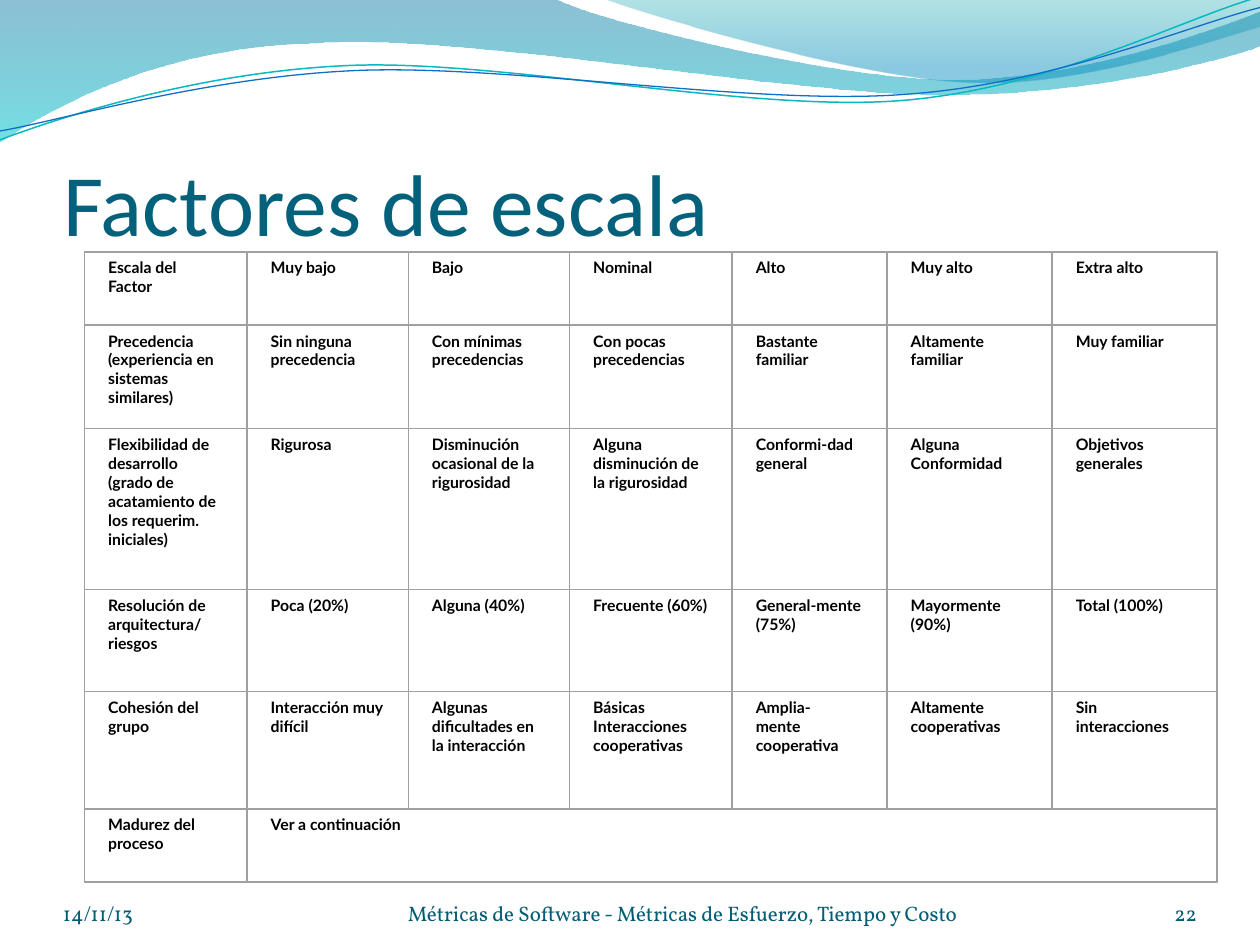
import math

import pptx
import pptx.util
import pptx.dml.color
import pptx.enum.shapes
import pptx.enum.text
import pptx.oxml.ns
from lxml import etree

Inches, Pt = pptx.util.Inches, pptx.util.Pt
RGBColor = pptx.dml.color.RGBColor
ALIGN, ANCHOR = pptx.enum.text.PP_ALIGN, pptx.enum.text.MSO_ANCHOR
RECTANGLE = pptx.enum.shapes.MSO_SHAPE.RECTANGLE
qn = pptx.oxml.ns.qn

# Colours
TITLE = RGBColor(0x04, 0x61, 0x7B)
FOOTER = RGBColor(0x04, 0x5D, 0x75)
BLACK = RGBColor(0, 0, 0)
BORDER = RGBColor(0xA0, 0xA0, 0xA0)
TEAL_LINE = RGBColor(0x0A, 0xB8, 0xBF)
BLUE_LINE = RGBColor(0x0F, 0x6F, 0xC6)

# Content
HEADING = "Factores de escala"
ROWS = [
    ["Escala del Factor", "Muy bajo", "Bajo", "Nominal", "Alto", "Muy alto", "Extra alto"],
    ["Precedencia (experiencia en sistemas similares)", "Sin ninguna precedencia",
     "Con mínimas precedencias", "Con pocas precedencias", "Bastante familiar",
     "Altamente familiar", "Muy familiar"],
    ["Flexibilidad de desarrollo (grado de acatamiento de los requerim. iniciales)",
     "Rigurosa", "Disminución ocasional de la rigurosidad",
     "Alguna disminución de la rigurosidad", "Conformi-dad general",
     "Alguna Conformidad", "Objetivos generales"],
    ["Resolución de arquitectura/\nriesgos", "Poca (20%)", "Alguna (40%)",
     "Frecuente (60%)", "General-mente (75%)", "Mayormente (90%)", "Total (100%)"],
    ["Cohesión del grupo", "Interacción muy difícil",
     "Algunas dificultades en la interacción", "Básicas\nInteracciones cooperativas",
     "Amplia-\nmente cooperativa", "Altamente\ncooperativas", "Sin interacciones"],
    ["Madurez del proceso", "Ver a continuación"],
]
COL_EDGES = [0.67, 1.96, 3.24, 4.52, 5.81, 7.04, 8.35, 9.66]
ROW_EDGES = [2, 2.58, 3.4, 4.68, 5.49, 6.42, 7]
CELL_PAD = 0.09
FOOTERS = [  # text, left, width, alignment
    ("14/11/13", 0.5, 2.33, ALIGN.LEFT),
    ("Métricas de Software - Métricas de Esfuerzo, Tiempo y Costo", 2.92, 5, ALIGN.CENTER),
    ("22", 8.67, 0.83, ALIGN.RIGHT),
]

# Waves: a 2-tuple is a straight step, a 6-tuple is a Bézier step
BANDS = [  # steps, gradient stops (position, colour, opacity %)
    ([(0, 0), (4.4, -0.01), (4.76, 0.17, 6.64, 0.63, 7.58, 0.63),
      (8.53, 0.63, 9.58, 0.26, 10, 0.09), (10.01, 0.36),
      (9.83, 0.44, 8.7, 0.76, 7.46, 0.75), (6.22, 0.75, 3.82, 0.28, 2.57, 0.34),
      (1.29, 0.36, 0.46, 0.83, -0.01, 1.13)],
     [(0, RGBColor(0x00, 0x74, 0xA1), 45), (1, RGBColor(0x00, 0xC6, 0xCF), 55)]),
    ([(4.79, -0.01), (5.09, 0.11, 6.82, 0.62, 7.69, 0.65),
      (8.56, 0.69, 9.61, 0.32, 10, 0.21), (10, 0)],
     [(0, RGBColor(0x00, 0xA1, 0xA9), 30), (0.8, RGBColor(0x00, 0x8B, 0xBF), 45)]),
]
TILT = 357.3
CURVES = [  # steps, centre of rotation, colour, width
    ([(0, 1.11), (0.48, 0.93, 1.58, 0.57, 2.77, 0.52),
      (3.95, 0.47, 5.93, 0.89, 7.13, 0.8), (8.33, 0.71, 9.38, 0.15, 9.98, -0.02)],
     (4.99, 0.57), TEAL_LINE, 0.85),
    ([(0, 1.04), (0.47, 0.96, 1.64, 0.61, 2.83, 0.56),
      (4.03, 0.51, 5.97, 0.84, 7.17, 0.75), (8.36, 0.67, 9.41, 0.21, 10, 0.06)],
     (5, 0.59), BLUE_LINE, 0.75),
]


def pairs(step):
    return list(zip(step[::2], step[1::2]))


def untilt(step, centre):
    """Turn a step's points back by TILT, so that the shape's rotation restores them."""
    cx, cy = centre
    cos, sin = math.cos(math.radians(-TILT)), math.sin(math.radians(-TILT))
    out = []
    for x, y in pairs(step):
        dx, dy = x - cx, y - cy
        out += [cx + dx * cos - dy * sin, cy + dx * sin + dy * cos]
    return tuple(out)


def add_wave(shapes, steps, close):
    ends = [(Inches(step[-2]), Inches(step[-1])) for step in steps]
    builder = shapes.build_freeform(*ends[0], scale=1.0)
    builder.add_line_segments(ends[1:], close=close)
    sp = builder.convert_to_shape()
    sp.shadow.inherit = False
    # Bend the segments that have control points
    for seg, step in zip(list(sp.element.iter(qn("a:lnTo"))), steps[1:]):
        if len(step) == 6:
            curve = etree.Element(qn("a:cubicBezTo"))
            for x, y in pairs(step):
                etree.SubElement(curve, qn("a:pt"), x=str(Inches(x) - sp.left),
                                 y=str(Inches(y) - sp.top))
            seg.getparent().replace(seg, curve)
    return sp


def set_font(p, name, size, color, bold=False):
    p.font.name, p.font.size, p.font.bold = name, Pt(size), bold
    p.font.color.rgb = color


def set_insets(tf, top=0):
    tf.margin_left = tf.margin_right = tf.margin_bottom = 0
    tf.margin_top = Inches(top)
    tf.vertical_anchor = ANCHOR.BOTTOM
    tf.word_wrap = True


def add_text(shapes, text, left, top, width, height):
    tf = shapes.add_textbox(*map(Inches, (left, top, width, height))).text_frame
    tf.word_wrap = True
    tf.text = text
    return tf


def add_frame(shapes, left, top, width, height, line_width):
    sp = shapes.add_shape(RECTANGLE, *map(Inches, (left, top, width, height)))
    sp.shadow.inherit = False
    sp.fill.background()
    sp.line.color.rgb, sp.line.width = BORDER, Pt(line_width)


prs = pptx.Presentation()
prs.slide_width, prs.slide_height = Inches(10), Inches(7.5)
s = prs.slides.add_slide(prs.slide_layouts[5])

# Wave decoration
for steps, stops in BANDS:
    sp = add_wave(s.shapes, steps, close=True)
    sp.line.fill.background()
    sp.fill.gradient()
    sp.fill.gradient_angle = 270
    for stop, (pos, color, _) in zip(sp.fill.gradient_stops, stops):
        stop.position, stop.color.rgb = pos, color
    for clr, (_, _, opacity) in zip(sp.element.spPr.iter(qn("a:srgbClr")), stops):
        etree.SubElement(clr, qn("a:alpha"), val=str(opacity * 1000))
curves = s.shapes.add_group_shape().shapes
for steps, centre, color, width in CURVES:
    sp = add_wave(curves, [untilt(step, centre) for step in steps], close=False)
    sp.rotation = TILT
    sp.fill.background()
    sp.line.color.rgb, sp.line.width = color, Pt(width)

# Title, in front of the waves
title = s.shapes.title
title.element.getparent().append(title.element)
title.left, title.top, title.width, title.height = map(Inches, (0.5, 0.77, 9, 1.25))
tf = title.text_frame
tf.text = HEADING
set_insets(tf, top=0.05)
tf.auto_size = pptx.enum.text.MSO_AUTO_SIZE.NONE
tf.paragraphs[0].alignment = ALIGN.LEFT
set_font(tf.paragraphs[0], "Calibri", 50, TITLE)

# Grid of scale factors: the last cell of a short row reaches the right edge
grid = s.shapes.add_group_shape().shapes
for row, top, bottom in zip(ROWS, ROW_EDGES, ROW_EDGES[1:]):
    rights = COL_EDGES[1:len(row)] + COL_EDGES[-1:]
    for text, left, right in zip(row, COL_EDGES, rights):
        width, height = right - left, bottom - top
        tf = add_text(grid, text, left + CELL_PAD, top, width - 2 * CELL_PAD, height)
        for p in tf.paragraphs:
            set_font(p, "Lato", 9, BLACK, bold=True)
        add_frame(grid, left, top, width, height, 0)
add_frame(grid, COL_EDGES[0], ROW_EDGES[0], COL_EDGES[-1] - COL_EDGES[0],
          ROW_EDGES[-1] - ROW_EDGES[0], 0.75)

# Footer
for text, left, width, align in FOOTERS:
    tf = add_text(s.shapes, text, left, 6.95, width, 0.4)
    set_insets(tf)
    tf.paragraphs[0].alignment = align
    set_font(tf.paragraphs[0], "Vollkorn", 12, FOOTER)

prs.save("out.pptx")
